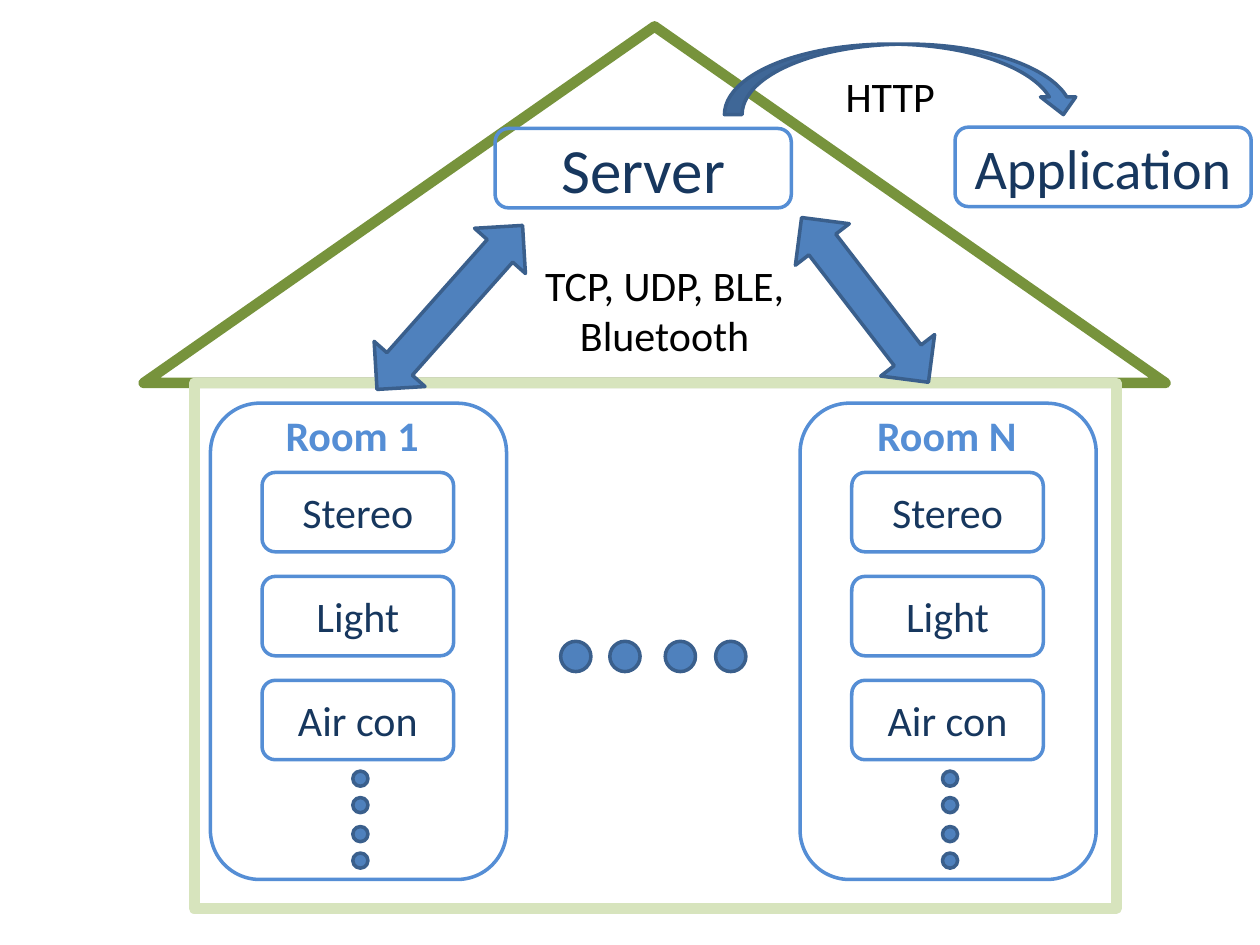
from dataclasses import dataclass
from typing import Optional

from pptx import Presentation
from pptx import util as u
from pptx.dml.color import RGBColor
from pptx.enum import shapes, text

ROOF = RGBColor(0x77, 0x93, 0x3C)
WALL = RGBColor(0xD7, 0xE4, 0xBD)
OUTLINE = RGBColor(0x55, 0x8E, 0xD5)
BLUE = RGBColor(0x4F, 0x81, 0xBD)
EDGE = RGBColor(0x3A, 0x5F, 0x8C)
NAVY = RGBColor(0x17, 0x37, 0x5E)
BLACK = RGBColor(0, 0, 0)
KIND = shapes.MSO_SHAPE


@dataclass
class Box:
    left: float
    top: float
    width: float
    height: float

    def emu(self) -> list:
        return [u.Inches(v) for v in (self.left, self.top, self.width, self.height)]


@dataclass
class Room:
    name: str
    left: float
    label_left: float


DEVICES = ("Stereo", "Light", "Air con")
DOT_TOPS = (6.12, 6.33, 6.56, 6.77)
ROOMS = (Room("Room 1", 1.67, 1.93), Room("Room N", 6.35, 6.65))

prs = Presentation()
prs.slide_width, prs.slide_height = u.Inches(10), u.Inches(7.5)
s = prs.slides.add_slide(prs.slide_layouts[6])


def write(tf, words: str, *, size: float = 24, color: RGBColor = NAVY,
          bold: bool = False, anchor=text.MSO_ANCHOR.MIDDLE) -> None:
    tf.word_wrap = True
    tf.vertical_anchor = anchor
    p = tf.paragraphs[0]
    p.alignment = text.PP_ALIGN.CENTER
    r = p.add_run()
    r.text = words
    r.font.name = "Calibri"
    r.font.size = u.Pt(size)
    r.font.bold = bold
    r.font.color.rgb = color


def draw(kind, box: Box, *, line: RGBColor = EDGE, weight: float = 2,
         fill: Optional[RGBColor] = None, rotation: float = 0):
    sp = s.shapes.add_shape(kind, *box.emu())
    sp.shadow.inherit = False
    sp.rotation = rotation
    sp.line.color.rgb = line
    sp.line.width = u.Pt(weight)
    if fill is None:
        sp.fill.background()
    else:
        sp.fill.solid()
        sp.fill.fore_color.rgb = fill
    return sp


def rounded(box: Box, words: str = "", size: float = 24) -> None:
    sp = draw(KIND.ROUNDED_RECTANGLE, box, line=OUTLINE)
    if words:
        write(sp.text_frame, words, size=size)


def label(box: Box, words: str, **fmt) -> None:
    tf = s.shapes.add_textbox(*box.emu()).text_frame
    write(tf, words, anchor=text.MSO_ANCHOR.TOP, **fmt)
    tf.auto_size = text.MSO_AUTO_SIZE.SHAPE_TO_FIT_TEXT


def dot(left: float, top: float, size: float) -> None:
    draw(KIND.OVAL, Box(left, top, size, size), fill=BLUE)


def draw_room(room: Room) -> None:
    rounded(Box(room.left, 3.2, 2.35, 3.78))
    label(Box(room.label_left, 3.2, 1.73, 0.5), room.name, color=OUTLINE, bold=True)
    for i, device in enumerate(DEVICES):
        rounded(Box(room.left + 0.41, 3.75 + i * 0.825, 1.52, 0.63), device)
    for top in DOT_TOPS:
        dot(room.left + 1.13, top, 0.12)


draw(KIND.ISOSCELES_TRIANGLE, Box(1.14, 0.21, 8.11, 2.83), line=ROOF, weight=6)
rounded(Box(3.93, 1.02, 2.35, 0.63), "Server", 36)
draw(KIND.RECTANGLE, Box(1.54, 3.04, 7.32, 4.17), line=WALL, weight=6.25)
for left in (4.45, 4.84, 5.28, 5.68):
    dot(left, 5.09, 0.24)
for room in ROOMS:
    draw_room(room)
for box, angle in ((Box(2.7, 2.17, 1.74, 0.54), 311.6), (Box(6.04, 2.11, 1.65, 0.54), 52.4)):
    draw(KIND.LEFT_RIGHT_ARROW, box, fill=BLUE, rotation=angle)
draw(KIND.CURVED_DOWN_ARROW, Box(5.75, 0.35, 2.83, 0.56), fill=BLUE)
rounded(Box(7.58, 1.01, 2.35, 0.63), "Application", 32)
label(Box(6.24, 0.51, 1.65, 0.5), "HTTP", color=BLACK)
label(Box(4.04, 2.01, 2.47, 0.91), "TCP, UDP, BLE, Bluetooth", color=BLACK)

prs.save("out.pptx")
